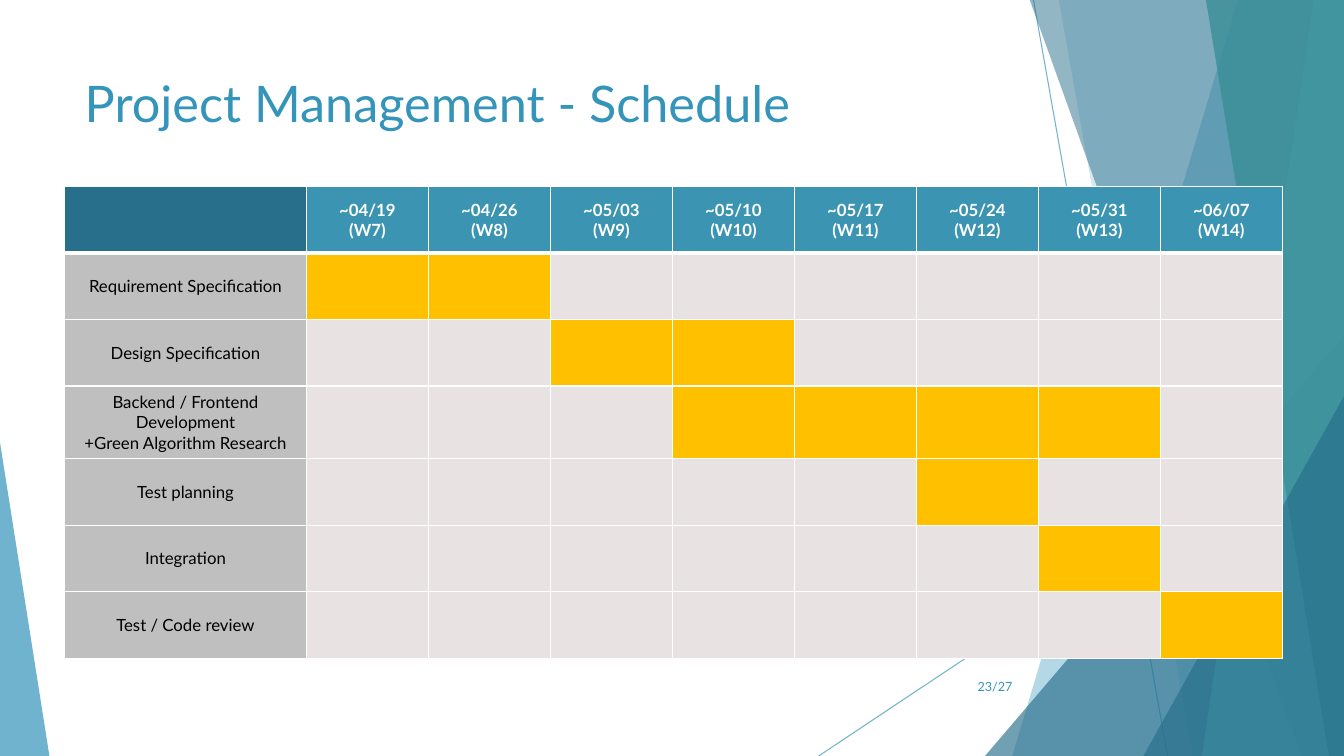
from dataclasses import dataclass
from typing import Any

from lxml.etree import SubElement
from pptx import Presentation
from pptx.dml.color import RGBColor as Rgb
from pptx.enum.shapes import MSO_CONNECTOR as Link, MSO_SHAPE as Form
from pptx.enum.text import MSO_ANCHOR as Anchor, PP_ALIGN as Align
from pptx.oxml.ns import qn
from pptx.util import Pt

PX = 9144  # 100 px to the inch
WIDE, HIGH = 1333, 750
COLORS = {
    "blue": "3494BA", "deep": "276F8B", "aqua": "58B6C0", "teal": "3A8F98",
    "head": "3B94B1", "label": "BFBFBF", "busy": "FFC000", "free": "E8E3E2",
    "white": "FFFFFF", "black": "000000",
}


@dataclass(frozen=True)
class Ray:
    start: tuple[int, int]
    end: tuple[int, int]


@dataclass(frozen=True)
class Band:
    """A facet that reaches from its top and foot to the right edge."""
    top: int
    foot: int
    color: str
    alpha: int


@dataclass(frozen=True)
class Wedge:
    left: int
    top: int
    width: int
    tip: int
    color: str
    alpha: int


@dataclass(frozen=True)
class Task:
    name: str
    first: int
    last: int


RAYS = [Ray((1025, 0), (1158, 750)), Ray((1333, 403), (812, 750))]
FACETS = [
    Band(1228, 1004, "blue", 36),
    Band(1050, 1183, "blue", 20),
    Wedge(977, 333, 356, 1, "deep", 66),
    Band(1021, 1291, "deep", 50),
    Band(1303, 1192, "aqua", 70),
    Band(1196, 1318, "teal", 80),
    Wedge(1134, 393, 199, 1, "deep", 66),
    Wedge(0, 439, 49, 0, "blue", 70),
]
DATES = ["04/19", "04/26", "05/03", "05/10", "05/17", "05/24", "05/31", "06/07"]
WEEK = 7
TASKS = [
    Task("Requirement Specification", 7, 8),
    Task("Design Specification", 9, 10),
    Task("Backend / Frontend\nDevelopment\n+Green Algorithm Research", 10, 13),
    Task("Test planning", 12, 12),
    Task("Integration", 13, 13),
    Task("Test / Code review", 14, 14),
]
LABEL, COL, ROW = 240, 121, 66


def rgb(name: str) -> Rgb:
    return Rgb.from_string(COLORS[name])


def box(*sides: int) -> list[int]:
    return [side * PX for side in sides]


def apply(item: Any, values: dict[str, Any]) -> None:
    for key, value in values.items():
        setattr(item, key, value)


def fade(shape: Any, alpha: int) -> None:
    for color in shape._element.spPr.iter(qn("a:srgbClr")):
        SubElement(color, qn("a:alpha"), val=str(alpha * 1000))


def write(frame: Any, text: str, size: int, color: str,
          align: Align, bold: bool = False) -> None:
    frame.text = text
    for para in frame.paragraphs:
        para.alignment = align
        for run in para.runs:
            apply(run.font, {"name": "Lato", "size": Pt(size), "bold": bold})
            run.font.color.rgb = rgb(color)


def draw_ray(shapes: Any, ray: Ray) -> None:
    line = shapes.add_connector(Link.STRAIGHT, *box(*ray.start, *ray.end))
    line.line.width = Pt(0.75)
    line.line.color.rgb = rgb("blue")
    SubElement(line._element.spPr, qn("a:effectLst"))
    fade(line, 70)


def draw_facet(shapes: Any, part: Band | Wedge) -> None:
    if isinstance(part, Band):
        path = shapes.build_freeform(part.top, -1, scale=PX)
        path.add_line_segments([(WIDE, -1), (WIDE, HIGH), (part.foot, HIGH)])
        shape = path.convert_to_shape()
    else:
        shape = shapes.add_shape(Form.ISOSCELES_TRIANGLE, *box(
            part.left, part.top, part.width, HIGH - part.top))
        shape.adjustments[0] = part.tip
    shape.shadow.inherit = False
    shape.line.fill.background()
    shape.fill.solid()
    shape.fill.fore_color.rgb = rgb(part.color)
    fade(shape, part.alpha)


def paint(cell: Any, color: str, top: int = 1, foot: int = 1) -> None:
    props = cell._tc.get_or_add_tcPr()
    for side, width in {"L": 1, "R": 1, "T": top, "B": foot}.items():
        edge = SubElement(props, qn(f"a:ln{side}"), w=str(Pt(width)))
        fill = SubElement(edge, qn("a:solidFill"))
        SubElement(fill, qn("a:srgbClr"), val=COLORS["white"])
    cell.fill.solid()
    cell.fill.fore_color.rgb = rgb(color)


def label(cell: Any, text: str, color: str, bold: bool = False) -> None:
    write(cell.text_frame, text, 12, color, Align.CENTER, bold)
    apply(cell, {
        "vertical_anchor": Anchor.MIDDLE,
        "margin_left": 13 * PX, "margin_right": 13 * PX,
        "margin_top": 6 * PX, "margin_bottom": 6 * PX,
    })


def draw_plan(shapes: Any) -> None:
    rows, cols = len(TASKS) + 1, len(DATES) + 1
    table = shapes.add_table(rows, cols, *box(
        64, 185, LABEL + COL * len(DATES), ROW * rows)).table
    table.horz_banding = False
    for num, col in enumerate(table.columns):
        col.width = (COL if num else LABEL) * PX
    for row in table.rows:
        row.height = ROW * PX

    # Header row
    paint(table.cell(0, 0), "deep", foot=3)
    for num, date in enumerate(DATES):
        cell = table.cell(0, num + 1)
        paint(cell, "head", foot=3)
        label(cell, f"~{date}\v(W{WEEK + num})", "white", True)

    # Task rows
    for row, task in enumerate(TASKS, 1):
        top = 3 if row == 1 else 1
        paint(table.cell(row, 0), "label", top)
        label(table.cell(row, 0), task.name, "black")
        for col in range(1, cols):
            busy = task.first <= WEEK + col - 1 <= task.last
            paint(table.cell(row, col), "busy" if busy else "free", top)


def main() -> None:
    deck = Presentation()
    apply(deck, {"slide_width": WIDE * PX, "slide_height": HIGH * PX})
    slide = deck.slides.add_slide(deck.slide_layouts[5])
    shapes = slide.shapes

    # Backdrop
    for ray in RAYS:
        draw_ray(shapes, ray)
    for part in FACETS:
        draw_facet(shapes, part)

    # Title
    title = shapes.title
    apply(title, dict(zip(("left", "top", "width", "height"),
                          box(74, 67, 940, 144))))
    write(title.text_frame, "Project Management - Schedule", 36, "blue", Align.LEFT)
    apply(title.text_frame, {"vertical_anchor": Anchor.TOP, "word_wrap": True})

    # Schedule
    draw_plan(shapes)

    # Page number
    page = shapes.add_textbox(*box(939, 661, 75, 40)).text_frame
    write(page, "23/27", 9, "blue", Align.RIGHT)
    apply(page, {"vertical_anchor": Anchor.MIDDLE, "word_wrap": True})

    deck.save("out.pptx")


if __name__ == "__main__":
    main()
